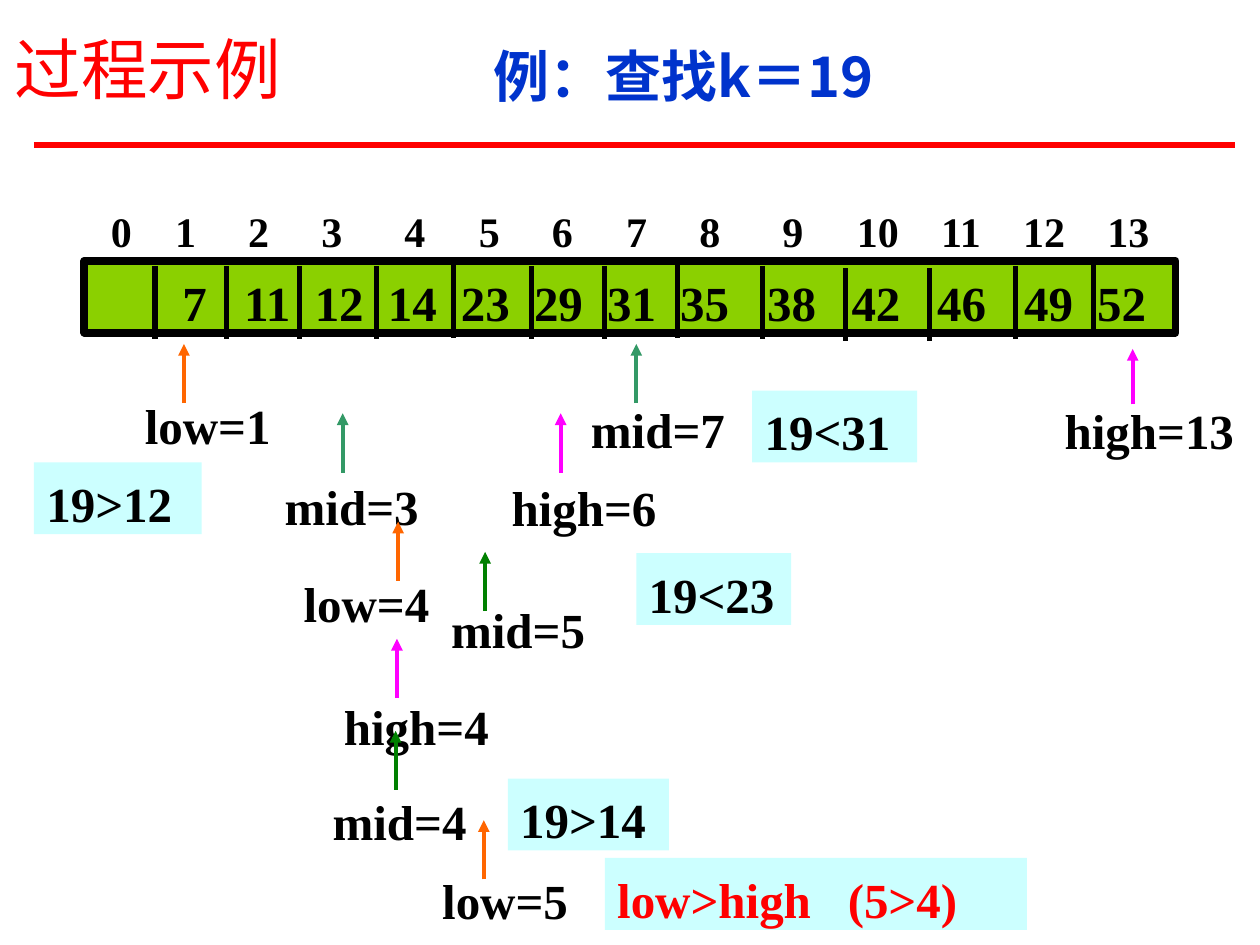
from dataclasses import dataclass
from typing import Optional

from lxml import etree
from pptx import Presentation
from pptx.dml.color import RGBColor
from pptx.enum.shapes import MSO_CONNECTOR, MSO_SHAPE
from pptx.enum.text import MSO_ANCHOR, PP_ALIGN
from pptx.oxml.ns import qn
from pptx.util import Inches, Pt

RECTANGLE = MSO_SHAPE.RECTANGLE
STRAIGHT = MSO_CONNECTOR.STRAIGHT
TOP, MIDDLE = MSO_ANCHOR.TOP, MSO_ANCHOR.MIDDLE
LEFT = PP_ALIGN.LEFT

COLORS = {
    "black": "000000", "red": "FF0000", "blue": "0033CC", "array": "8BD000",
    "note": "CCFFFF", "low": "FF6600", "high": "FF00FF",
    "mid": "339966", "late mid": "008000",
}
SERIF = "Times New Roman"
COLUMNS, ROWS = 100, 75  # grid of square cells
CELL = 0.1  # inches per cell


@dataclass(frozen=True)
class Area:
    column: float
    row: float
    width: float
    height: float


@dataclass(frozen=True)
class Style:
    size: float = 28
    color: str = "black"
    font: str = SERIF
    bold: bool = True


@dataclass(frozen=True)
class Pointer:
    text: str
    area: Area
    color: str
    arrow_column: float
    arrow_row: float
    arrow_length: float = 4.7


@dataclass(frozen=True)
class Note:
    text: str
    area: Area
    color: str = "black"


# Array headings, values and cell borders, by column
INDEX_COLUMNS = [8.8, 13.9, 19.7, 25.5, 32.1, 38, 43.8, 49.7, 55.5, 62.1, 68, 74.7, 81.2, 87.9]
VALUES = [7, 11, 12, 14, 23, 29, 31, 35, 38, 42, 46, 49, 52]
VALUE_COLUMNS = [14.5, 19.4, 25, 30.8, 36.6, 42.4, 48.2, 54, 60.9, 67.6, 74.4, 81.3, 87.1]
BORDERS = [(12.3, 21.1), (18, 21.1), (23.8, 21.1), (29.9, 21.1), (36, 21), (42.2, 21.1),
           (48, 21.1), (53.8, 21), (60.5, 21.1), (67.1, 21.3), (73.8, 21.3),
           (80.6, 21.1), (86.8, 20.9)]

POINTERS = [
    Pointer("low=1", Area(11.5, 31.8, 13.3, 3.3), "low", 14.6, 27.3),
    Pointer("high=13", Area(84.5, 32.2, 15, 5), "high", 89.9, 27.7, 4.4),
    Pointer("mid=7", Area(46.9, 32.1, 12.1, 3.6), "mid", 50.5, 27.3),
    Pointer("high=6", Area(40.6, 38.3, 14.2, 4.2), "high", 44.5, 32.8),
    Pointer("mid=3", Area(22.6, 38.2, 10.8, 5), "mid", 27.2, 32.8),
    Pointer("high=4", Area(27.3, 55.7, 13.3, 5), "high", 31.5, 50.7),
    Pointer("mid=5", Area(35.8, 48, 11.1, 3.5), "late mid", 38.5, 43.8),
    Pointer("low=4", Area(24.1, 45.9, 13.3, 3.3), "low", 31.6, 41.4),
    Pointer("mid=4", Area(26.4, 63.2, 11.1, 3.5), "late mid", 31.4, 58),
    Pointer("low=5", Area(35.1, 69.5, 13.3, 3.3), "low", 38.4, 65.1),
]
NOTES = [
    Note("19<31", Area(59.7, 31, 13.1, 5.7)),
    Note("19>12", Area(2.7, 36.7, 13.3, 5.7)),
    Note("19<23", Area(50.5, 43.9, 12.3, 5.7)),
    Note("19>14", Area(40.3, 61.8, 12.8, 5.7)),
]


def grid(cells: float) -> int:
    return Inches(cells * CELL)


def rgb(name: str) -> RGBColor:
    return RGBColor.from_string(COLORS[name])


def add_run(paragraph, text: str, style: Style) -> None:
    run = paragraph.add_run()
    run.text = text
    run.font.size, run.font.bold = Pt(style.size), style.bold
    run.font.name = style.font
    run.font.color.rgb = rgb(style.color)
    east_asian = etree.SubElement(run.font._element, qn("a:ea"))
    east_asian.set("typeface", style.font)


def set_text(shape, text: str, style: Style, insets=(1, 0.9, 1, 0.5),
             anchor=TOP, spacing: Optional[float] = None):
    frame = shape.text_frame
    frame.word_wrap = True
    frame.vertical_anchor = anchor
    (frame.margin_left, frame.margin_top,
     frame.margin_right, frame.margin_bottom) = map(grid, insets)
    paragraph = frame.paragraphs[0]
    paragraph.alignment = LEFT
    if spacing:
        paragraph.line_spacing = spacing
    add_run(paragraph, text, style)
    return paragraph


def add_text(slide, area: Area, text: str, style: Style, **options):
    shape = slide.shapes.add_textbox(*map(grid, (area.column, area.row, area.width, area.height)))
    return set_text(shape, text, style, **options)


def add_box(slide, area: Area, fill: str, border: Optional[str] = None):
    box = slide.shapes.add_shape(
        RECTANGLE, *map(grid, (area.column, area.row, area.width, area.height)))
    box.shadow.inherit = False
    box.fill.solid()
    box.fill.fore_color.rgb = rgb(fill)
    if border:
        box.line.color.rgb = rgb(border)
        box.line.width = Pt(4.5)
    else:
        box.line.fill.background()
    return box


def add_line(slide, start, end, color: str, width: float, arrow: bool = False) -> None:
    line = slide.shapes.add_connector(STRAIGHT, *map(grid, (*start, *end)))
    line.line.color.rgb = rgb(color)
    line.line.width = Pt(width)
    if arrow:
        etree.SubElement(line.line._get_or_add_ln(), qn("a:tailEnd")).set("type", "triangle")
    etree.SubElement(line._element.spPr, qn("a:effectLst"))


def add_tab_stops(paragraph, origin: float, columns) -> None:
    properties = paragraph._p.get_or_add_pPr()
    tab_list = etree.SubElement(properties, qn("a:tabLst"))
    for column in columns:
        tab = etree.SubElement(tab_list, qn("a:tab"))
        tab.set("pos", str(grid(column - origin)))
        tab.set("algn", "l")


def add_pointer(slide, pointer: Pointer) -> None:
    add_text(slide, pointer.area, pointer.text, Style(), insets=(0, 0.5, 0, 0), spacing=0.8)
    bottom = pointer.arrow_row + pointer.arrow_length
    add_line(slide, (pointer.arrow_column, bottom),
             (pointer.arrow_column, pointer.arrow_row), pointer.color, 2.25, arrow=True)


def add_note(slide, note: Note):
    return set_text(add_box(slide, note.area, "note"), note.text, Style(color=note.color))


def main() -> None:
    presentation = Presentation()
    presentation.slide_width, presentation.slide_height = grid(COLUMNS), grid(ROWS)
    slide = presentation.slides.add_slide(presentation.slide_layouts[6])

    # Title, example and rule
    add_line(slide, (2.7, 11.5), (98, 11.5), "red", 3)
    add_text(slide, Area(0.2, 0, 90, 10.7), "过程示例",
             Style(38, "red", "Arial", False), insets=(1, 0.5, 1, 0.5), anchor=MIDDLE)
    add_text(slide, Area(38.2, 2.8, 35.4, 6.4), "例：查找k＝19",
             Style(32, "blue", "Noto Sans CJK SC"), insets=(1, 0.5, 1, 0.5), anchor=MIDDLE)

    # Array with its indices
    indices = add_text(slide, Area(8.2, 16, 87.7, 4.2), "\t".join(map(str, range(14))),
                       Style(24), insets=(0.6, 0.3, 0, 0))
    add_tab_stops(indices, 8.8, INDEX_COLUMNS[1:])
    array = add_box(slide, Area(6.7, 20.7, 86.6, 5.7), "array", "black")
    values = set_text(array, "".join(f"\t{value}" for value in VALUES), Style(),
                      insets=(1, 0.9, 0, 0.5))
    add_tab_stops(values, 7.7, VALUE_COLUMNS)
    for column, row in BORDERS:
        add_line(slide, (column, row), (column, row + 5.8), "black", 3)

    # Search steps and comparisons
    for pointer in POINTERS:
        add_pointer(slide, pointer)
    for note in NOTES:
        add_note(slide, note)
    result = add_note(slide, Note("low>high", Area(48, 68.1, 33.5, 5.7), "red"))
    add_tab_stops(result, 49, [67.3])
    add_run(result, "\t(5>4)", Style(color="red"))

    presentation.save("out.pptx")


if __name__ == "__main__":
    main()
